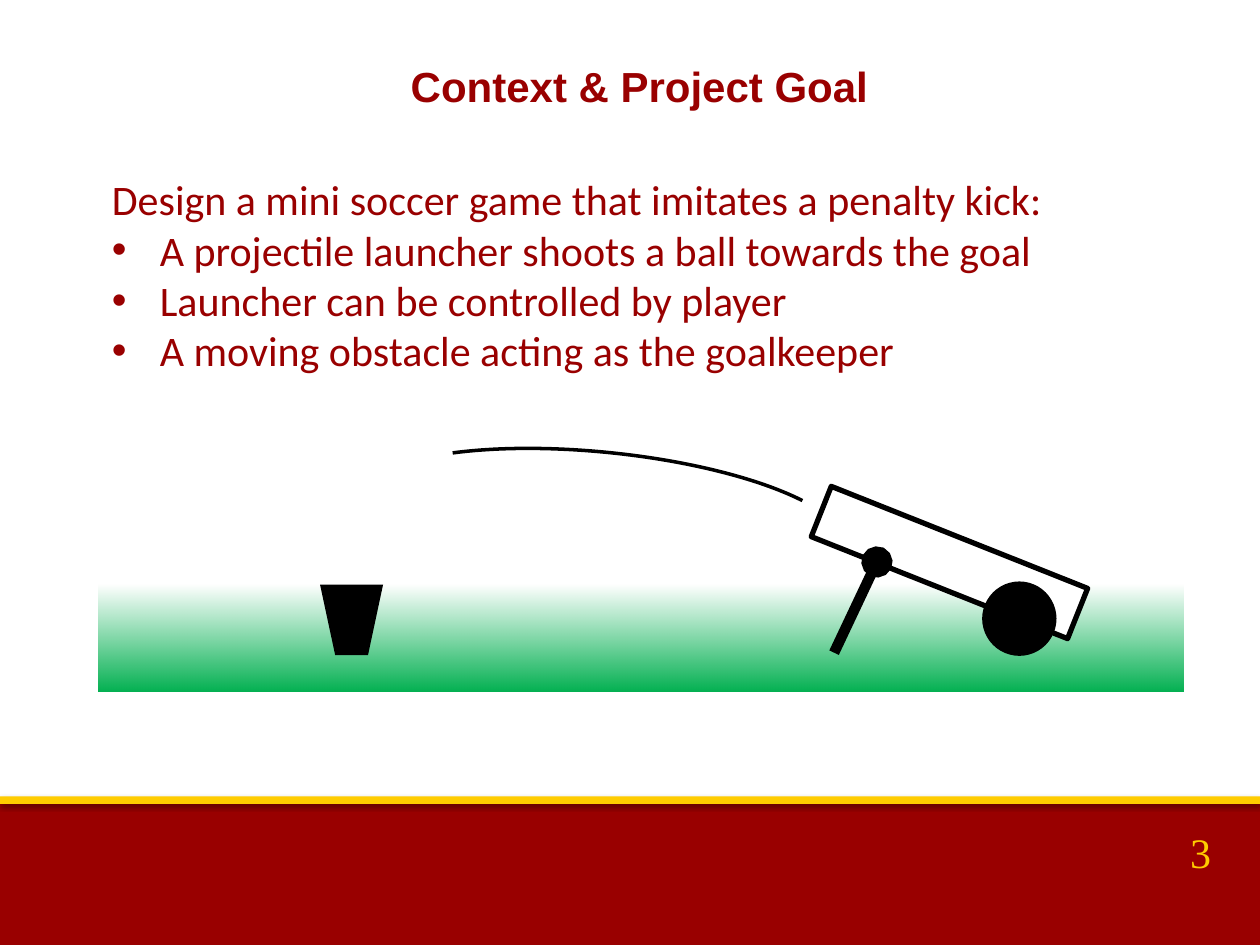
from lxml import etree
from pptx import Presentation
from pptx.dml.color import RGBColor
from pptx.enum.shapes import MSO_CONNECTOR as Connector, MSO_SHAPE as Shape
from pptx.enum.text import MSO_AUTO_SIZE as AutoSize, PP_ALIGN as Align
from pptx.oxml.ns import qn
from pptx.util import Inches, Pt

COLORS = {
    "red": "990000",
    "gold": "FFCC00",
    "grass": "00B050",
    "black": "000000",
    "white": "FFFFFF",
}
TITLE = {"name": "Arial", "size": Pt(24), "bold": True}
BODY = {"name": "Calibri", "size": Pt(24)}
NUMBER = {"name": "Times New Roman", "size": Pt(24)}


def rgb(name):
    return RGBColor.from_string(COLORS[name])


def add_element(parent, tag, **attributes):
    return etree.SubElement(parent, qn(tag), attributes)


class SlideBuilder:
    """Holds the slide and the shape collection that new shapes go into."""

    def __init__(self, slide):
        self.slide = slide
        self.shapes = slide.shapes

    def start_group(self):
        self.shapes = self.slide.shapes.add_group_shape().shapes

    def end_group(self):
        self.shapes = self.slide.shapes

    def shape(self, kind, box, fill=None, line=None, width=1, rotation=0, adjustments=()):
        shape = self.shapes.add_shape(kind, *map(Inches, box))
        shape.shadow.inherit = False
        shape.rotation = rotation
        for index, value in enumerate(adjustments):
            shape.adjustments[index] = value
        if fill:
            shape.fill.solid()
            shape.fill.fore_color.rgb = rgb(fill)
        else:
            shape.fill.background()
        if line:
            shape.line.color.rgb = rgb(line)
            shape.line.width = Pt(width)
        else:
            shape.line.fill.background()
        return shape

    def band(self, box, fill, opacity, distance):
        """Full-width bar with a soft shadow below it."""
        shape = self.shape(Shape.RECTANGLE, box, fill)
        effects = shape._element.spPr.find(qn("a:effectLst"))
        shadow = add_element(effects, "a:outerShdw", blurRad=str(Pt(3.1)), dist=str(Pt(distance)),
                             dir="5400000", rotWithShape="0")
        color = add_element(shadow, "a:srgbClr", val=COLORS["black"])
        add_element(color, "a:alpha", val=str(opacity * 1000))

    def fading_field(self, box, color):
        """Rectangle that goes from clear at the top to full colour at the bottom."""
        shape = self.shape(Shape.RECTANGLE, box)
        shape.fill.gradient()
        shape.fill.gradient_angle = 270
        for stop, position in zip(shape.fill.gradient_stops, (0, 1)):
            stop.color.rgb = rgb(color)
            stop.position = position
        clear = next(shape._element.spPr.iter(qn("a:srgbClr")))
        add_element(clear, "a:alpha", val="0")

    def ball_ended_line(self, start, end, color, width):
        connector = self.shapes.add_connector(Connector.STRAIGHT, *map(Inches, start + end))
        connector.line.color.rgb = rgb(color)
        connector.line.width = Pt(width)
        add_element(connector.line._get_or_add_ln(), "a:headEnd", type="oval")
        add_element(connector._element.spPr, "a:effectLst")

    def text(self, box, lines, style, color, alignment=Align.LEFT, bullets_from=None):
        frame = self.shapes.add_textbox(*map(Inches, box)).text_frame
        frame.word_wrap = True
        frame.auto_size = AutoSize.NONE
        for index, line in enumerate(lines):
            paragraph = frame.add_paragraph() if index else frame.paragraphs[0]
            paragraph.alignment = alignment
            if bullets_from is not None and index >= bullets_from:
                properties = paragraph._p.get_or_add_pPr()
                properties.set("marL", str(Inches(0.38)))
                properties.set("indent", str(-Inches(0.38)))
                add_element(properties, "a:buFont", typeface="Arial")
                add_element(properties, "a:buChar", char="•")
            run = paragraph.add_run()
            run.text = line
            for attribute, value in style.items():
                setattr(run.font, attribute, value)
            run.font.color.rgb = rgb(color)


def main():
    presentation = Presentation()
    presentation.slide_width, presentation.slide_height = Inches(10), Inches(7.5)
    builder = SlideBuilder(presentation.slides.add_slide(presentation.slide_layouts[6]))

    builder.band((0, 6.35, 10, 1.15), "red", opacity=35, distance=1.8)
    builder.band((0, 6.32, 10, 0.06), "gold", opacity=38, distance=1.6)

    builder.text((1.03, 0.43, 8.09, 0.5), ["Context & Project Goal"], TITLE, "red", Align.CENTER)
    builder.text((0.79, 1.33, 8.43, 2.12), [
        "Design a mini soccer game that imitates a penalty kick:",
        "A projectile launcher shoots a ball towards the goal",
        "Launcher can be controlled by player",
        "A moving obstacle acting as the goalkeeper",
    ], BODY, "red", bullets_from=1)

    # Ball trajectory
    builder.shape(Shape.ARC, (2.85, 3.59, 3.87, 1.1), line="black", width=2, rotation=5.8,
                  adjustments=(119.27, 208.91))

    # Field, launcher barrel, wheel, support leg and goal
    builder.start_group()
    builder.fading_field((0.78, 4.64, 8.61, 0.85), "grass")
    builder.shape(Shape.RECTANGLE, (6.44, 4.25, 2.19, 0.43), "white", "black", 3, rotation=21.7)
    builder.shape(Shape.OVAL, (7.8, 4.62, 0.58, 0.58), "black", "black", 0.75)
    builder.ball_ended_line((6.96, 4.46), (6.62, 5.18), "black", 6)
    builder.shape(Shape.TRAPEZOID, (2.54, 4.64, 0.5, 0.56), "black", rotation=180,
                  adjustments=(0.24,))
    builder.end_group()

    builder.text((8.89, 6.51, 0.82, 0.5), ["3"], NUMBER, "gold", Align.RIGHT)
    presentation.save("out.pptx")


if __name__ == "__main__":
    main()
